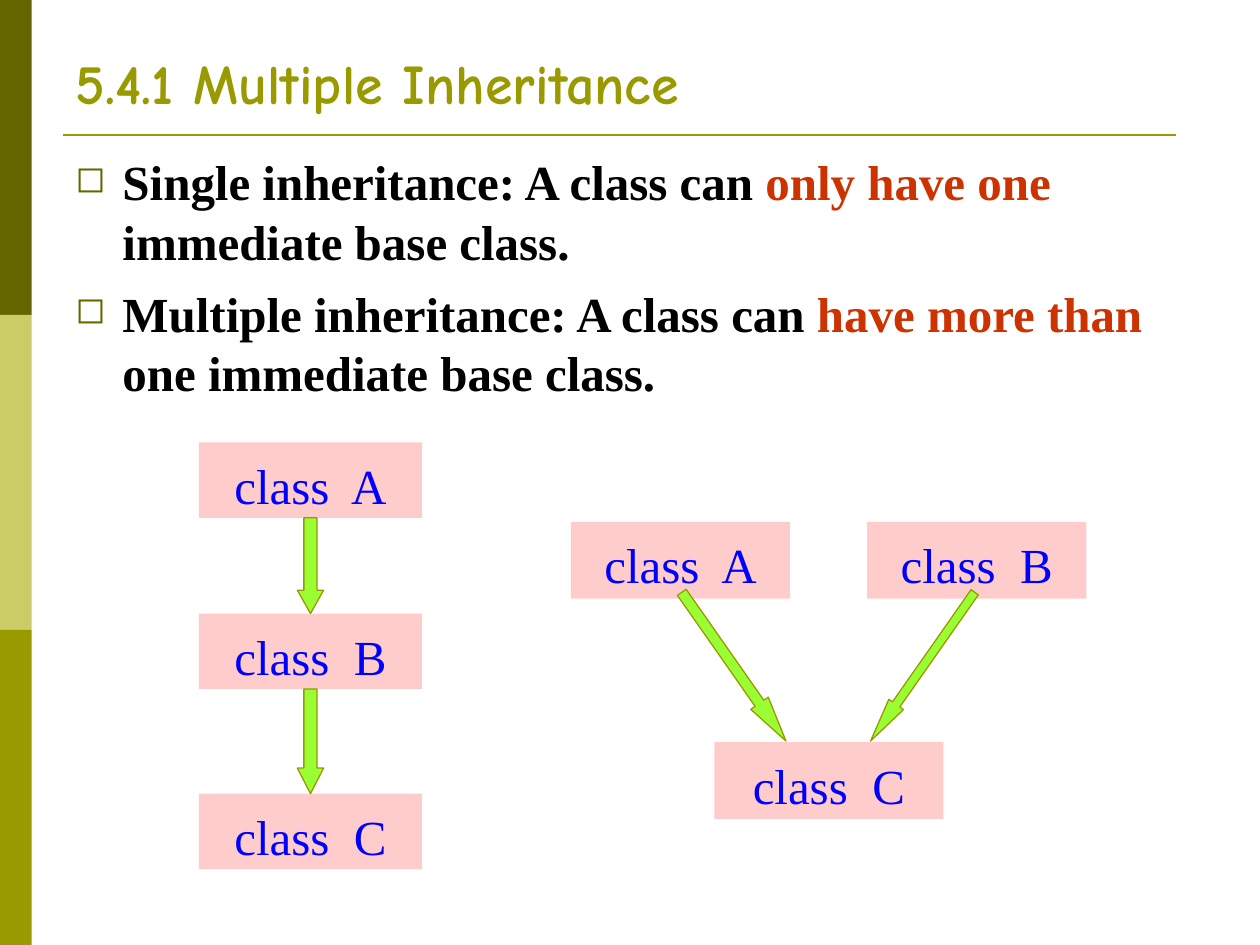
from dataclasses import dataclass
from itertools import pairwise

from lxml.etree import SubElement
from pptx import Presentation
from pptx.dml.color import RGBColor as Rgb
from pptx.enum.shapes import MSO_CONNECTOR as Connector, MSO_SHAPE as Preset
from pptx.enum.text import MSO_ANCHOR as Anchor, PP_ALIGN as Align
from pptx.oxml.ns import qn
from pptx.util import Cm, Pt


@dataclass(frozen=True)
class Theme:
    """Hold the colours, fonts and type sizes of the slide."""
    dark: str = "666600"
    light: str = "CCCC66"
    olive: str = "999900"
    ink: str = "000000"
    accent: str = "CC3300"
    box: str = "FFCCCC"
    label: str = "0000FF"
    arrow: str = "99FF33"
    title_font: str = "Comic Neue"
    body_font: str = "Times New Roman"
    title_size: int = 32
    body_size: int = 28
    line_pitch: int = 34


THEME = Theme()


def set_values(target, values):
    """Set each named attribute of the target."""
    for name, value in values.items():
        setattr(target, name, value)


def add_run(paragraph, text, colour, name=THEME.body_font, size=THEME.body_size, bold=False):
    """Append one formatted run."""
    run = paragraph.add_run()
    run.text = text
    set_values(run.font, {"name": name, "size": Pt(size), "bold": bold})
    run.font.color.rgb = Rgb.from_string(colour)


def set_frame(frame, anchor=Anchor.TOP, top=0.13):
    """Set wrapping, anchor and insets of a text frame."""
    set_values(frame, {
        "word_wrap": True, "vertical_anchor": anchor,
        "margin_left": Cm(0.25), "margin_right": Cm(0.25),
        "margin_top": Cm(top), "margin_bottom": Cm(0.13),
    })


def add_filled(slide, preset, bounds, fill, line=None):
    """Add a flat preset shape."""
    shape = slide.shapes.add_shape(preset, *map(Cm, bounds))
    shape.shadow.inherit = False
    shape.fill.solid()
    shape.fill.fore_color.rgb = Rgb.from_string(fill)
    if line:
        shape.line.color.rgb = Rgb.from_string(line)
        shape.line.width = Pt(0.75)
    else:
        shape.line.fill.background()
    return shape


def add_side_bar(slide):
    """Stack three equal colour bands on the left edge."""
    height = 6.35
    for index, colour in enumerate((THEME.dark, THEME.light, THEME.olive)):
        add_filled(slide, Preset.RECTANGLE, (0, index * height, 0.64, height), colour)


def add_title(slide, text):
    """Add the heading and the rule below it."""
    rule = slide.shapes.add_connector(
        Connector.STRAIGHT, Cm(1.27), Cm(2.72), Cm(23.7), Cm(2.72))
    rule.line.color.rgb = Rgb.from_string(THEME.olive)
    rule.line.width = Pt(1.5)
    SubElement(rule._element.spPr, qn("a:effectLst"))
    frame = slide.shapes.add_textbox(Cm(1.27), Cm(0.71), Cm(22.86), Cm(1.75)).text_frame
    set_frame(frame, Anchor.BOTTOM)
    add_run(frame.paragraphs[0], text, THEME.olive, THEME.title_font, THEME.title_size, True)


def add_bullet(paragraph):
    """Give a paragraph a hanging square bullet."""
    properties = paragraph._p.get_or_add_pPr()
    properties.set("marL", str(Cm(0.95)))
    properties.set("indent", str(-Cm(0.95)))
    colour = SubElement(properties, qn("a:buClr"))
    SubElement(colour, qn("a:srgbClr"), val=THEME.dark)
    SubElement(properties, qn("a:buSzPct"), val="75000")
    SubElement(properties, qn("a:buChar"), char="◻")


def add_definitions(slide, definitions):
    """Add bulleted sentences whose middle part is highlighted."""
    frame = slide.shapes.add_textbox(Cm(1.27), Cm(2.92), Cm(22.86), Cm(5.99)).text_frame
    set_frame(frame)
    for index, parts in enumerate(definitions):
        paragraph = frame.add_paragraph() if index else frame.paragraphs[0]
        add_bullet(paragraph)
        set_values(paragraph, {
            "line_spacing": Pt(THEME.line_pitch), "space_before": Pt(7 if index else 0)})
        for text, colour in zip(parts, (THEME.ink, THEME.accent, THEME.ink)):
            add_run(paragraph, text, colour, bold=True)


def add_class(slide, letter, bounds):
    """Add a labelled class box."""
    frame = add_filled(slide, Preset.RECTANGLE, bounds, THEME.box).text_frame
    set_frame(frame, top=0.25)
    paragraph = frame.paragraphs[0]
    set_values(paragraph, {
        "alignment": Align.CENTER, "line_spacing": Pt(THEME.line_pitch)})
    add_run(paragraph, f"class  {letter}", THEME.label)


def add_arrow(slide, bounds, head, rotation=0):
    """Add a block arrow with the given head ratio and rotation."""
    arrow = add_filled(slide, Preset.DOWN_ARROW, bounds, THEME.arrow, THEME.olive)
    arrow.adjustments[0] = 0.5
    arrow.adjustments[1] = head
    arrow.rotation = rotation


def add_single_inheritance(slide):
    """Draw the chain of three classes."""
    left, width, height, arrow_width = 4.01, 4.5, 1.52, 0.53
    tops = (8.92, 12.37, 16)
    for letter, top in zip("ABC", tops):
        add_class(slide, letter, (left, top, width, height))
    arrow_left = left + (width - arrow_width) / 2
    for (upper, lower), head in zip(pairwise(tops), (0.89, 0.97)):
        start = upper + height
        add_arrow(slide, (arrow_left, start, arrow_width, lower - start), head)


def add_multiple_inheritance(slide):
    """Draw two base classes that lead to one derived class."""
    height = 1.55
    for letter, left, top, width in (
            ("A", 11.51, 10.52, 4.42), ("B", 17.48, 10.52, 4.42), ("C", 14.4, 14.96, 4.62)):
        add_class(slide, letter, (left, top, width, height))
    for left, width, head, rotation in ((14.58, 0.43, 2.16, 325), (18.42, 0.36, 2.5, 35)):
        add_arrow(slide, (left, 11.61, width, 3.66), head, rotation)


def main():
    """Build and save the slide."""
    presentation = Presentation()
    set_values(presentation, {"slide_width": Cm(25.4), "slide_height": Cm(19.05)})
    slide = presentation.slides.add_slide(presentation.slide_layouts[6])
    add_side_bar(slide)
    add_title(slide, "5.4.1 Multiple Inheritance")
    add_definitions(slide, (
        ("Single inheritance: A class can ", "only have one", " immediate base class."),
        ("Multiple inheritance: A class can ", "have more than", " one immediate base class."),
    ))
    add_single_inheritance(slide)
    add_multiple_inheritance(slide)
    presentation.save("out.pptx")


if __name__ == "__main__":
    main()
